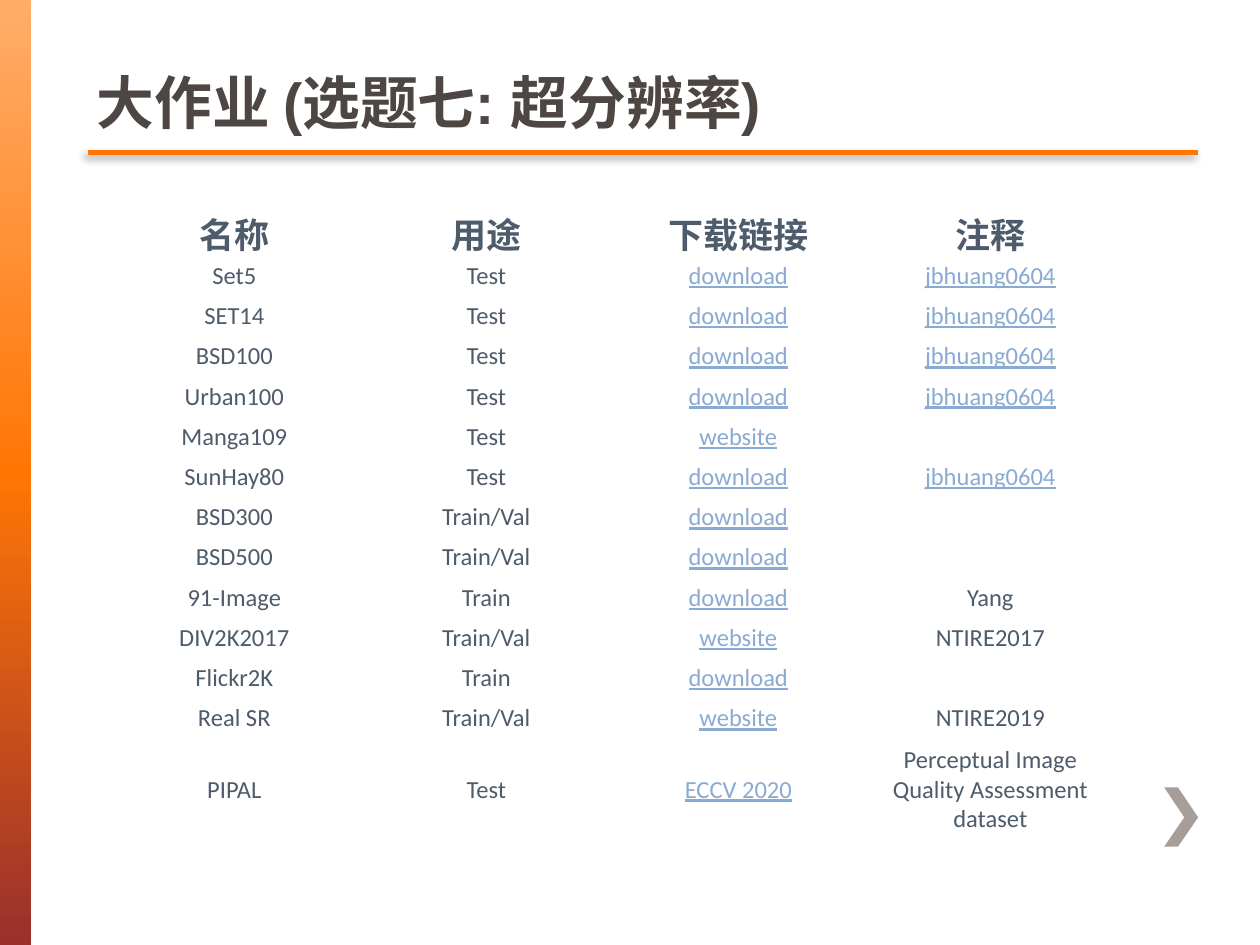
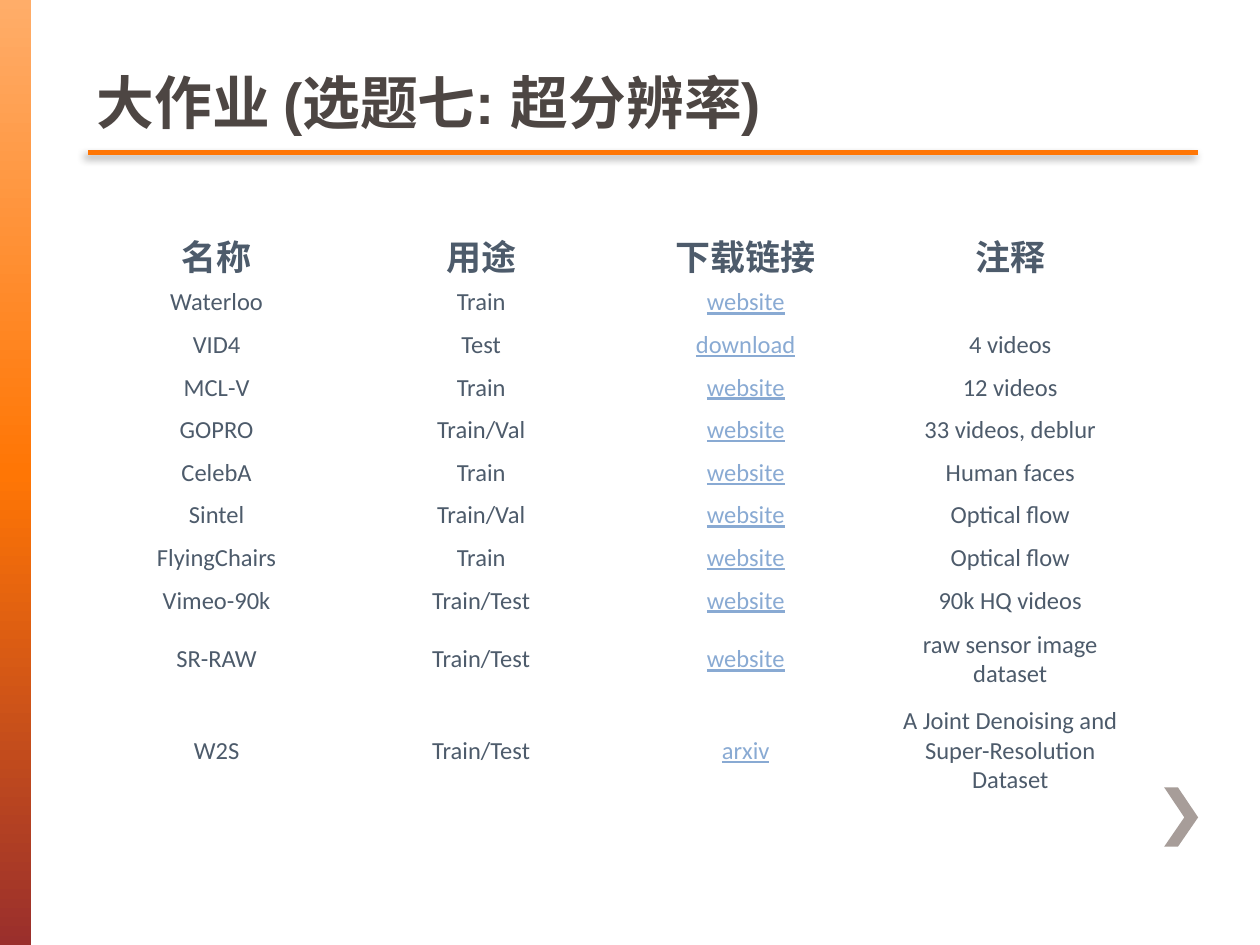
from lxml import etree
from pptx import Presentation
from pptx.dml.color import RGBColor
from pptx.enum import shapes, text
from pptx.oxml import parse_xml
from pptx.oxml.ns import nsdecls, qn
from pptx.util import Pt

TITLE = "大作业 (选题七: 超分辨率)"
HEADINGS = ("名称", "用途", "下载链接", "注释")
LINK_COLUMN = 2
AUTHOR = "jbhuang0604"

IMAGE_SETS = [
    ("Set5", "Test", "download", AUTHOR),
    ("SET14", "Test", "download", AUTHOR),
    ("BSD100", "Test", "download", AUTHOR),
    ("Urban100", "Test", "download", AUTHOR),
    ("Manga109", "Test", "website", ""),
    ("SunHay80", "Test", "download", AUTHOR),
    ("BSD300", "Train/Val", "download", ""),
    ("BSD500", "Train/Val", "download", ""),
    ("91-Image", "Train", "download", "Yang"),
    ("DIV2K2017", "Train/Val", "website", "NTIRE2017"),
    ("Flickr2K", "Train", "download", ""),
    ("Real SR", "Train/Val", "website", "NTIRE2019"),
    ("PIPAL", "Test", "ECCV 2020", "Perceptual Image Quality Assessment dataset"),
]
VIDEO_SETS = [
    ("Waterloo", "Train", "website", ""),
    ("VID4", "Test", "download", "4 videos"),
    ("MCL-V", "Train", "website", "12 videos"),
    ("GOPRO", "Train/Val", "website", "33 videos, deblur"),
    ("CelebA", "Train", "website", "Human faces"),
    ("Sintel", "Train/Val", "website", "Optical flow"),
    ("FlyingChairs", "Train", "website", "Optical flow"),
    ("Vimeo-90k", "Train/Test", "website", "90k HQ videos"),
    ("SR-RAW", "Train/Test", "website", "raw sensor image dataset"),
    ("W2S", "Train/Test", "arxiv", "A Joint Denoising and Super-Resolution Dataset"),
]
PAGES = [
    dict(datasets=IMAGE_SETS, left=61.9, top=115.9, column=144,
         heading=30.3, row=23, tall={"PIPAL": 58.3}),
    dict(datasets=VIDEO_SETS, left=48.2, top=128.2, column=151.2,
         heading=32.4, row=24.35, tall={"SR-RAW": 43, "W2S": 61.2}),
]

ORANGE = RGBColor(0xFF, 0x76, 0x05)
TAUPE = RGBColor(0xA7, 0x9D, 0x99)
TITLE_BROWN = RGBColor(0x4D, 0x46, 0x43)
SLATE = RGBColor(0x4D, 0x5B, 0x6B)
LINK_BLUE = RGBColor(0x89, 0xAA, 0xD3)
BAND_STOPS = ((0, RGBColor(0xFF, 0xAD, 0x69)), (50, ORANGE),
              (100, RGBColor(0x9A, 0x2F, 0x2C)))
CHEVRON = [(673.2, 450), (665.3, 450), (676.8, 467.1),
           (665.3, 483.8), (673.2, 483.8), (684.7, 467.1)]


def write(frame, words, *, size, color, font="Calibri", bold=False,
          underline=False, align=text.PP_ALIGN.CENTER):
    paragraph = frame.paragraphs[0]
    paragraph.alignment = align
    if not words:
        etree.SubElement(paragraph._p, qn("a:endParaRPr"), sz=str(size * 100))
        return
    run = paragraph.add_run()
    run.text = words
    run.font.name = font
    run.font.size = Pt(size)
    run.font.bold = bold
    run.font.underline = underline
    run.font.color.rgb = color


def add_band(slide):
    band = slide.shapes.add_shape(shapes.MSO_SHAPE.RECTANGLE, 0, 0, Pt(18), Pt(540))
    band.shadow.inherit = False
    band.line.fill.background()
    stops = "".join(f'<a:gs pos="{pos * 1000}"><a:srgbClr val="{color}"/></a:gs>'
                    for pos, color in BAND_STOPS)
    band._element.spPr.find(qn("a:prstGeom")).addnext(parse_xml(
        f'<a:gradFill {nsdecls("a")} rotWithShape="1"><a:gsLst>{stops}</a:gsLst>'
        '<a:lin ang="5400000" scaled="0"/></a:gradFill>'))


def add_chevron(slide):
    points = [(Pt(x), Pt(y)) for x, y in CHEVRON]
    outline = slide.shapes.build_freeform(*points[0])
    outline.add_line_segments(points[1:], close=True)
    chevron = outline.convert_to_shape()
    chevron.shadow.inherit = False
    chevron.fill.solid()
    chevron.fill.fore_color.rgb = TAUPE
    chevron.line.fill.background()


def add_title(slide):
    rule = slide.shapes.add_connector(shapes.MSO_CONNECTOR.STRAIGHT,
                                      Pt(50.4), Pt(87.1), Pt(684.7), Pt(87.1))
    rule.line.color.rgb = ORANGE
    rule.line.width = Pt(2.5)
    rule._element.spPr.append(parse_xml(
        f'<a:effectLst {nsdecls("a")}><a:outerShdw blurRad="{Pt(5)}" dist="{Pt(3)}" '
        'dir="8100000" rotWithShape="0"><a:srgbClr val="000000">'
        '<a:alpha val="45000"/></a:srgbClr></a:outerShdw></a:effectLst>'))
    frame = slide.shapes.add_textbox(Pt(48.2), 0, Pt(634.3), Pt(81.4)).text_frame
    frame.word_wrap = True
    frame.vertical_anchor = text.MSO_ANCHOR.BOTTOM
    write(frame, TITLE, size=33, color=TITLE_BROWN, font="Arial", bold=True,
          align=text.PP_ALIGN.LEFT)


def add_datasets(slide, datasets, left, top, column, heading, row, tall):
    rows = [HEADINGS, *datasets]
    heights = [heading] + [tall.get(entry[0], row) for entry in datasets]
    table = slide.shapes.add_table(
        len(rows), len(HEADINGS), Pt(left), Pt(top),
        Pt(column * len(HEADINGS)), Pt(sum(heights))).table
    table.first_row = table.horz_banding = False
    for table_column in table.columns:
        table_column.width = Pt(column)
    for r, (entry, height) in enumerate(zip(rows, heights)):
        table.rows[r].height = Pt(height)
        for c, words in enumerate(entry):
            cell = table.cell(r, c)
            cell.fill.background()
            cell.vertical_anchor = text.MSO_ANCHOR.MIDDLE
            cell.margin_left = cell.margin_right = Pt(5.8)
            cell.margin_top = cell.margin_bottom = Pt(2.9)
            linked = r > 0 and (c == LINK_COLUMN or words == AUTHOR)
            write(cell.text_frame, words, size=14 if r else 20, bold=r == 0,
                  color=LINK_BLUE if linked else SLATE, underline=linked)


def main():
    deck = Presentation()
    deck.slide_width, deck.slide_height = Pt(720), Pt(540)
    for page in PAGES:
        slide = deck.slides.add_slide(deck.slide_layouts[6])
        add_band(slide)
        add_chevron(slide)
        add_title(slide)
        add_datasets(slide, **page)
    deck.save("out.pptx")


if __name__ == "__main__":
    main()
